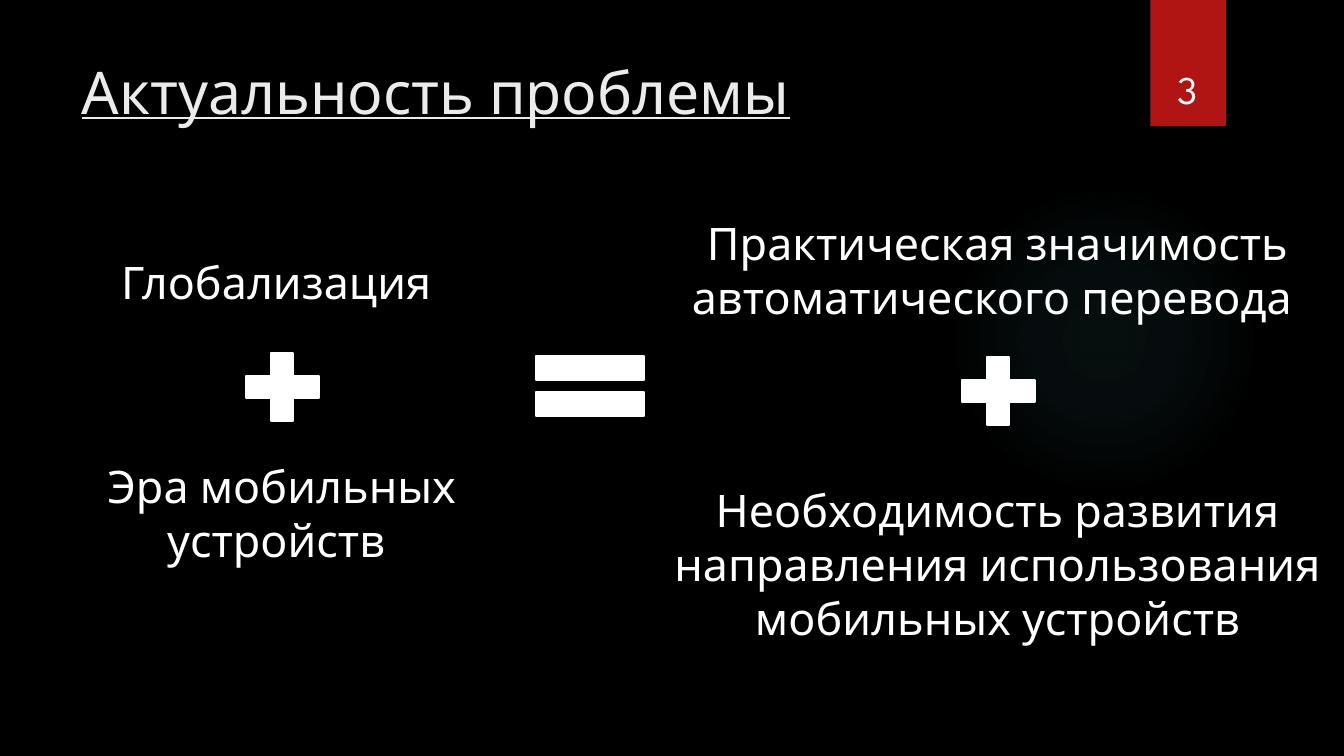
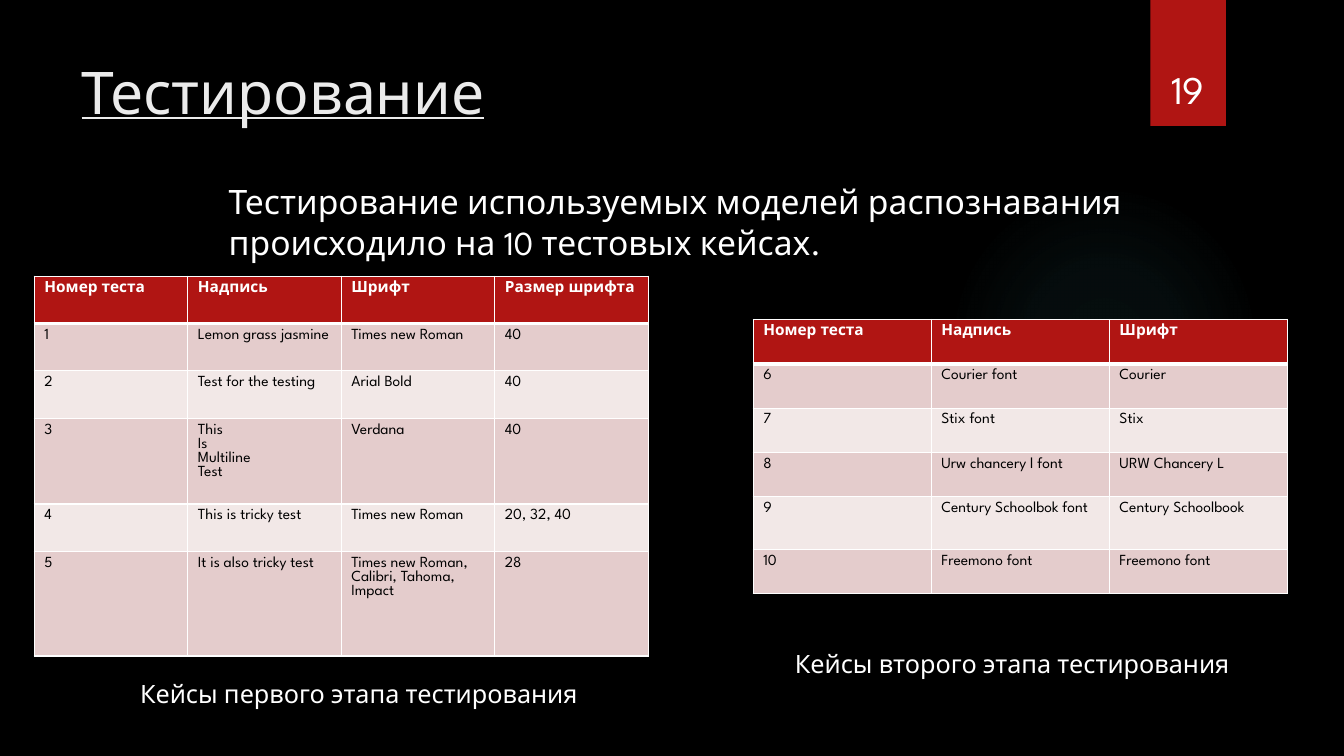
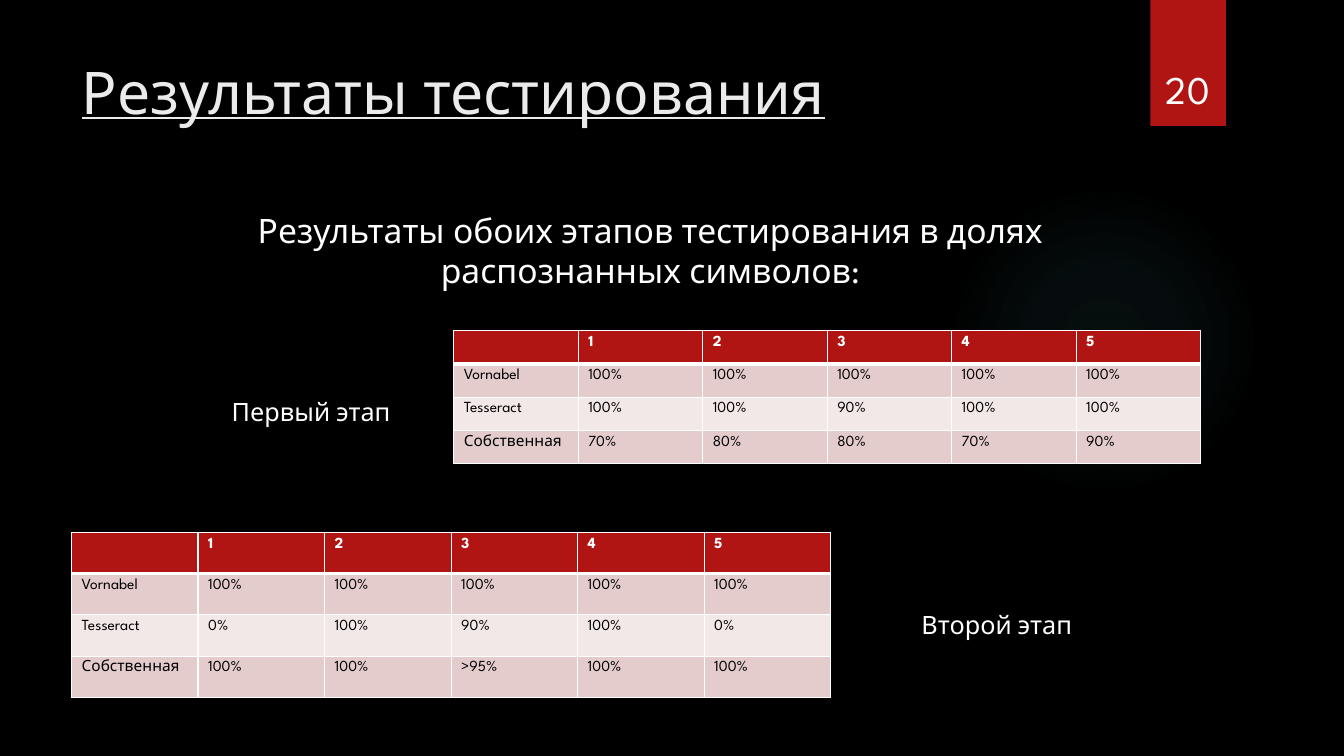
from dataclasses import dataclass

from lxml import etree
from pptx import Presentation
from pptx import util as u
from pptx.dml.color import RGBColor
from pptx.enum import shapes, text
from pptx.oxml import ns

PX = 9144  # 100 px to the inch
LEFT, MID = text.PP_ALIGN.LEFT, text.PP_ALIGN.CENTER
TOP, LOW = text.MSO_ANCHOR.TOP, text.MSO_ANCHOR.BOTTOM


@dataclass(frozen=True)
class Theme:
    font: str = "League Spartan"
    back: str = "000000"
    ink: str = "FFFFFF"
    title: str = "EBEBEB"
    red: str = "B01513"
    glow: str = "50B9C1"
    dark: str = "000000"
    odd: str = "E4CCCC"
    even: str = "F2E8E7"
    head: int = 42
    big: int = 32
    num: int = 28
    lead: int = 24
    note: int = 18
    cell: int = 11


T = Theme()


# Basic helpers
def px(*vals):
    return [u.Emu(v * PX) for v in vals]


def rgb(code):
    return RGBColor.from_string(code)


def style(frame, size, color, align=LEFT, bold=False, line=False):
    for para in frame.paragraphs:
        para.alignment = align
        for run in para.runs:
            font = run.font
            font.name, font.size = T.font, u.Pt(size)
            font.bold, font.underline = bold, line
            font.color.rgb = rgb(color)


def label(slide, words, box, size, align=LEFT, anchor=TOP, gap=0):
    """Text box; gap is the space in points between paragraphs."""
    frame = slide.shapes.add_textbox(*px(*box)).text_frame
    frame.word_wrap = True
    frame.vertical_anchor = anchor
    frame.text = words
    style(frame, size, T.ink, align)
    for para in frame.paragraphs[1:]:
        para.space_before = u.Pt(gap)


def solid(slide, kind, box, color, edge=0):
    shape = slide.shapes.add_shape(kind, *px(*box))
    shape.shadow.inherit = False
    shape.fill.solid()
    shape.fill.fore_color.rgb = rgb(color)
    if edge:
        shape.line.color.rgb = rgb(color)
        shape.line.width = u.Pt(edge)
    else:
        shape.line.fill.background()
    return shape


def sign(slide, kind, box):
    solid(slide, kind, box, T.ink, 1.5)


# Shared look
def fade(shape):
    """Swap the solid fill for a soft radial glow."""
    stops = "".join(
        f'<a:gs pos="{pos}000"><a:srgbClr val="{T.glow}">'
        f'<a:alpha val="{alpha}000"/></a:srgbClr></a:gs>'
        for pos, alpha in ((0, 7), (36, 6), (69, 0)))
    grad = etree.fromstring(
        f'<a:gradFill {ns.nsdecls("a")} rotWithShape="1"><a:gsLst>{stops}</a:gsLst>'
        '<a:path path="circle"><a:fillToRect l="50000" t="50000" r="50000"'
        ' b="50000"/></a:path></a:gradFill>')
    props = shape.element.spPr
    props.replace(props.find(ns.qn("a:solidFill")), grad)


def dress(deck, layout, slide):
    """Put the background, glow and red band behind every slide."""
    fill = deck.slide_master.background.fill
    fill.solid()
    fill.fore_color.rgb = rgb(T.back)
    glow = solid(slide, shapes.MSO_SHAPE.OVAL, (941, 183, 308, 308), T.glow)
    fade(glow)
    band = solid(slide, shapes.MSO_SHAPE.RECTANGLE, (1141, 0, 75, 125), T.red)
    tree = layout.shapes.element
    for i, part in enumerate((glow, band)):
        part.element.nvSpPr.cNvPr.set("id", str(100 + i))
        tree.insert(2 + i, part.element)


def start(slide, title, num):
    head = slide.shapes.title
    head.left, head.top, head.width, head.height = px(71, 50, 1029, 153)
    frame = head.text_frame
    frame.text = title
    frame.word_wrap = True
    frame.vertical_anchor = TOP
    frame.auto_size = text.MSO_AUTO_SIZE.NONE
    style(frame, T.head, T.title, line=True)
    label(slide, num, (1132, 32, 92, 84), T.num, MID, LOW)


# Tables
def border(cell, sides):
    props = cell._tc.get_or_add_tcPr()
    for i, side in enumerate("LRTB"):
        props.insert(i, etree.fromstring(
            f'<a:ln{side} {ns.nsdecls("a")} w="{u.Pt(sides.get(side, 1))}">'
            f'<a:solidFill><a:srgbClr val="{T.ink}"/></a:solidFill></a:ln{side}>'))


def grid(slide, spot, width, highs, rows):
    cols = len(rows[0])
    shape = slide.shapes.add_table(
        len(rows), cols, *px(*spot, width, sum(highs)))
    table = shape.table
    table.first_row = table.horz_banding = False
    for col in table.columns:
        col.width = u.Emu(width * PX // cols)
    for r, (high, row) in enumerate(zip(highs, rows)):
        table.rows[r].height = u.Emu(high * PX)
        fill = T.red if r == 0 else T.odd if r % 2 else T.even
        heavy = {0: {"B": 3}, 1: {"T": 3}}.get(r, {})
        for c, words in enumerate(row):
            cell = table.cell(r, c)
            cell.fill.solid()
            cell.fill.fore_color.rgb = rgb(fill)
            border(cell, heavy)
            cell.text_frame.text = words
            style(cell.text_frame, T.cell, T.dark if r else T.ink, bold=r == 0)
            if not words:  # keeps an empty cell from growing its row
                end = etree.SubElement(
                    cell.text_frame.paragraphs[0]._p, ns.qn("a:endParaRPr"))
                end.set("sz", str(T.cell * 100))


# Slides
def need(slide):
    start(slide, "Актуальность проблемы", "3")
    label(slide, "Глобализация \nЭра мобильных устройств ",
          (37, 248, 485, 431), T.big, MID, gap=107)
    label(slide, "Практическая значимость автоматического перевода \n"
          "Необходимость развития направления использования мобильных устройств",
          (658, 209, 663, 441), T.big, MID, gap=114)
    sign(slide, shapes.MSO_SHAPE.MATH_EQUAL, (512, 333, 146, 100))
    for left, top in ((231, 338), (941, 342)):
        sign(slide, shapes.MSO_SHAPE.MATH_PLUS, (left, top, 98, 92))


def tests(slide):
    start(slide, "Тестирование", "19")
    label(slide, "Тестирование используемых моделей распознавания "
          "происходило на 10 тестовых кейсах.", (217, 175, 978, 107), T.lead)
    label(slide, "Кейсы первого этапа тестирования",
          (99, 668, 514, 40), T.note, MID)
    label(slide, "Кейсы второго этапа тестирования",
          (716, 638, 576, 40), T.note, MID)
    heads = ["Номер теста", "Надпись", "Шрифт", "Размер шрифта"]
    grid(slide, (34, 274), 609, [47, 47, 47, 85, 47, 104], [
        heads,
        ["1", "Lemon grass jasmine", "Times new Roman", "40"],
        ["2", "Test for the testing", "Arial Bold", "40"],
        ["3", "This\nIs\nMultiline\nTest", "Verdana", "40"],
        ["4", "This is tricky test", "Times new Roman", "20, 32, 40"],
        ["5", "It is also tricky test",
         "Times new Roman, Calibri, Tahoma, Impact", "28"],
    ])
    grid(slide, (747, 317), 530, [44, 44, 44, 44, 52, 44], [
        heads[:3],
        ["6", "Courier font", "Courier"],
        ["7", "Stix font", "Stix"],
        ["8", "Urw chancery l font", "URW Chancery L"],
        ["9", "Century Schoolbok font", "Century Schoolbook"],
        ["10", "Freemono font", "Freemono font"],
    ])


def scores(slide):
    start(slide, "Результаты тестирования", "20")
    label(slide, "Результаты обоих этапов тестирования в долях "
          "распознанных символов:", (156, 203, 978, 100), T.lead, MID)
    label(slide, "Первый этап", (220, 388, 342, 40), T.note)
    label(slide, "Второй этап", (904, 600, 342, 40), T.note)
    names = ["", "Vornabel", "Tesseract", "Собственная"]
    heads = ["1", "2", "3", "4", "5"]
    full = ["100%"] * 5
    first = [heads, full,
             ["100%", "100%", "90%", "100%", "100%"],
             ["70%", "80%", "80%", "70%", "90%"]]
    second = [heads, full,
              ["0%", "100%", "90%", "100%", "0%"],
              ["100%", "100%", ">95%", "100%", "100%"]]
    for spot, width, high, vals in (((450, 328), 741, 33, first),
                                    ((71, 528), 753, 41, second)):
        rows = [[name] + row for name, row in zip(names, vals)]
        grid(slide, spot, width, [high] * len(rows), rows)


def main():
    deck = Presentation()
    deck.slide_width, deck.slide_height = u.Inches(13.33), u.Inches(7.5)
    layout = deck.slide_layouts[5]
    for i, build in enumerate((need, tests, scores)):
        slide = deck.slides.add_slide(layout)
        if i == 0:
            dress(deck, layout, slide)
        build(slide)
    deck.save("out.pptx")


if __name__ == "__main__":
    main()
